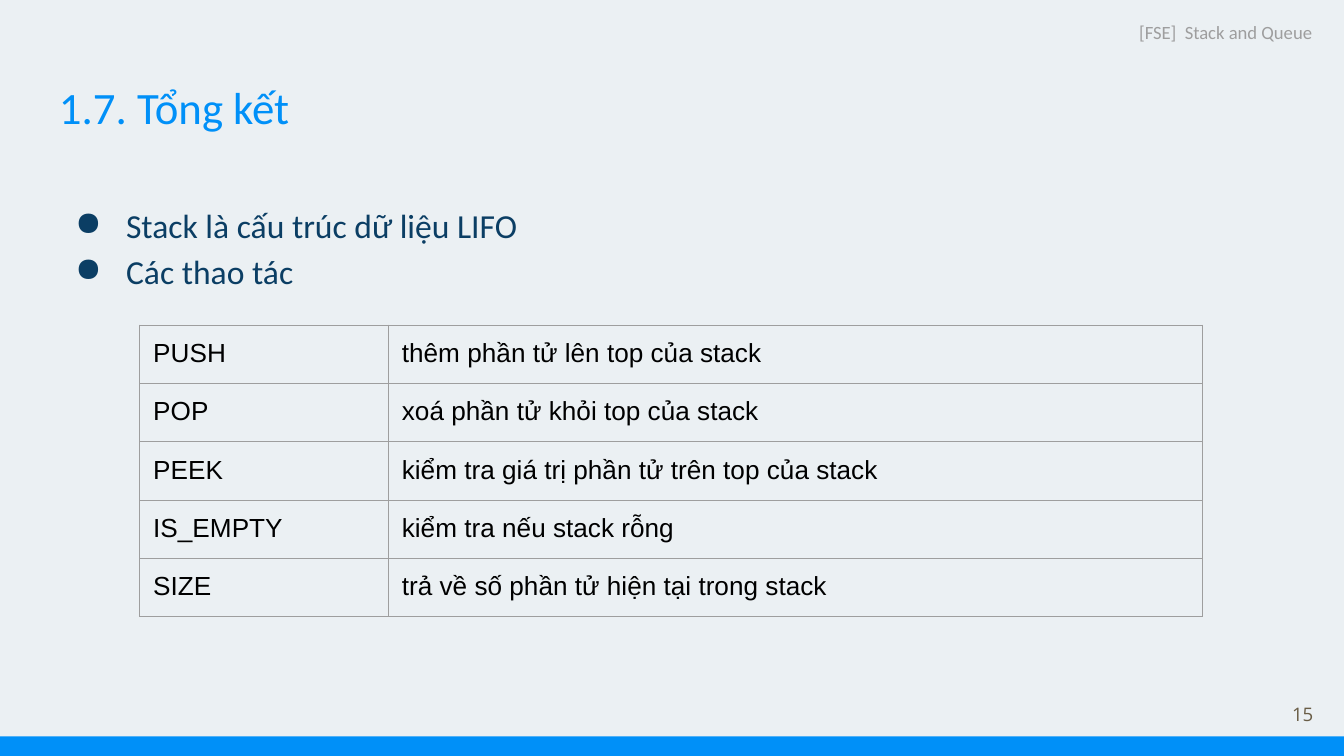
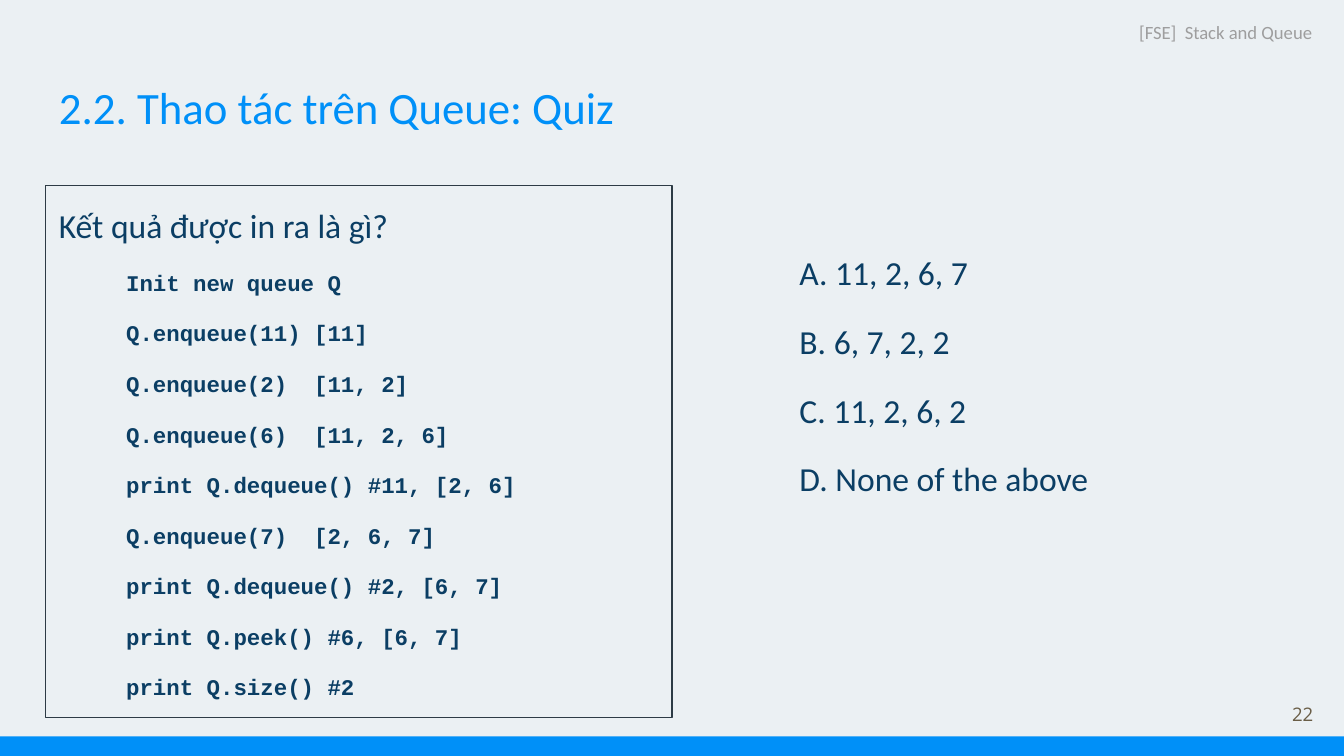
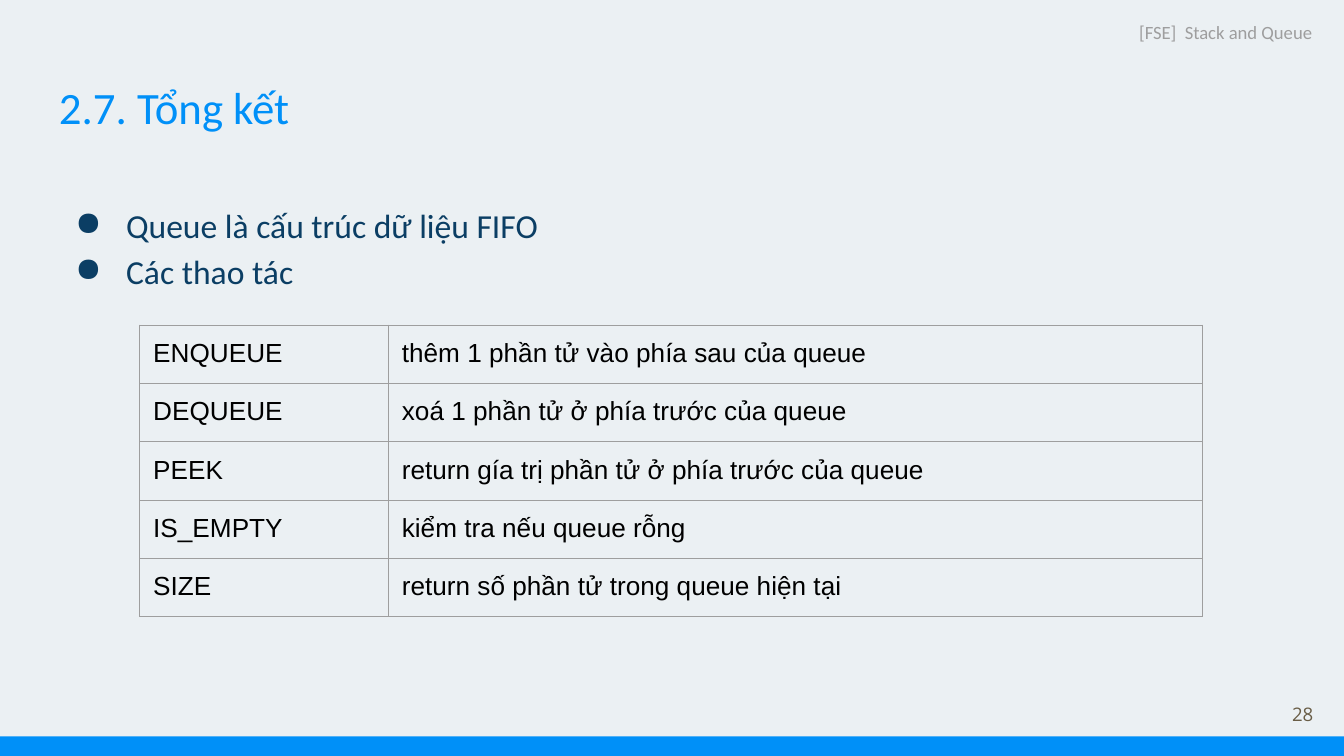
from dataclasses import dataclass

from lxml.etree import SubElement
from pptx import Presentation
from pptx.dml.color import RGBColor
from pptx.enum.shapes import MSO_SHAPE
from pptx.enum.text import MSO_ANCHOR, PP_ALIGN
from pptx.oxml import parse_xml
from pptx.oxml.ns import nsdecls, qn
from pptx.util import Inches, Pt


@dataclass(frozen=True)
class Theme:
    back: str = "EBF0F3"
    blue: str = "0090F8"
    navy: str = "0B3E64"
    frame: str = "2D3B45"
    grey: str = "9E9E9E"
    brown: str = "695D46"
    black: str = "000000"
    sans: str = "Calibri"
    mono: str = "Courier New"
    grid: str = "Arial"
    page: str = "Open Sans"
    title: int = 24
    body: int = 18
    cell: int = 14
    code: int = 12
    note: int = 10
    lead: float = 1.15
    rule: float = 0.75


THEME = Theme()
COLS, ROWS = 100, 56.25
UNIT = Inches(0.1)
LEFT, TOP = 3.4, 13.8
BAND = 54.8
PAD = Inches(0.1)

STACK = [
    ("PUSH", "thêm phần tử lên top của stack"),
    ("POP", "xoá phần tử khỏi top của stack"),
    ("PEEK", "kiểm tra giá trị phần tử trên top của stack"),
    ("IS_EMPTY", "kiểm tra nếu stack rỗng"),
    ("SIZE", "trả về số phần tử hiện tại trong stack"),
]
QUEUE = [
    ("ENQUEUE", "thêm 1 phần tử vào phía sau của queue"),
    ("DEQUEUE", "xoá 1 phần tử ở phía trước của queue"),
    ("PEEK", "return gía trị phần tử ở phía trước của queue"),
    ("IS_EMPTY", "kiểm tra nếu queue rỗng"),
    ("SIZE", "return số phần tử trong queue hiện tại"),
]
CODE = [
    "Init new queue Q",
    "Q.enqueue(11) [11]",
    "Q.enqueue(2)  [11, 2]",
    "Q.enqueue(6)  [11, 2, 6]",
    "print Q.dequeue() #11, [2, 6]",
    "Q.enqueue(7)  [2, 6, 7]",
    "print Q.dequeue() #2, [6, 7]",
    "print Q.peek() #6, [6, 7]",
    "print Q.size() #2",
]
CHOICES = ["A. 11, 2, 6, 7", "B. 6, 7, 2, 2", "C. 11, 2, 6, 2", "D. None of the above"]


def rgb(code):
    return RGBColor.from_string(code)


def place(*cells):
    """Turn grid columns and rows into lengths."""
    return [round(cell * UNIT) for cell in cells]


def indent(para, left, first=0):
    props = para._p.get_or_add_pPr()
    props.set("marL", str(Inches(left)))
    props.set("indent", str(Inches(first)))
    return props


def bullet(para, color):
    props = indent(para, 0.5, -0.38)
    tint = SubElement(props, qn("a:buClr"))
    SubElement(tint, qn("a:srgbClr"), val=color)
    SubElement(props, qn("a:buChar"), char="●")


def write(frame, lines, size=THEME.body, color=THEME.navy, face=THEME.sans,
          bold=False, align=None, lead=None, gap=0, left=0, dots=False):
    """Add one paragraph per line; gap goes above all but the frame's first."""
    for line in lines:
        fresh = not frame.text
        para = frame.paragraphs[0] if fresh else frame.add_paragraph()
        if dots:
            bullet(para, color)
        elif left:
            indent(para, left)
        para.text = line
        para.alignment = align
        para.line_spacing = lead
        para.space_before = Pt(0 if fresh else gap)
        font = para.runs[0].font
        font.size, font.name, font.bold = Pt(size), face, bold
        font.color.rgb = rgb(color)


def pad(item):
    item.margin_left = item.margin_right = PAD
    item.margin_top = item.margin_bottom = PAD


def box(slide, *cells, line=None, anchor=MSO_ANCHOR.TOP):
    """Add an empty text box and return its frame."""
    shape = slide.shapes.add_textbox(*place(*cells))
    if line:
        shape.line.color.rgb = rgb(line)
        shape.line.width = Pt(THEME.rule)
    frame = shape.text_frame
    frame.word_wrap = True
    frame.vertical_anchor = anchor
    pad(frame)
    return frame


def band(slide):
    shape = slide.shapes.add_shape(
        MSO_SHAPE.RECTANGLE, *place(0, BAND, COLS, ROWS - BAND))
    shape.shadow.inherit = False
    shape.fill.solid()
    shape.fill.fore_color.rgb = rgb(THEME.blue)
    shape.line.fill.background()


def border(cell):
    props = cell._tc.get_or_add_tcPr()
    for spot, side in enumerate("LRTB"):
        props.insert(spot, parse_xml(
            f'<a:ln{side} {nsdecls("a")} w="{Pt(THEME.rule)}"><a:solidFill>'
            f'<a:srgbClr val="{THEME.grey}"/></a:solidFill></a:ln{side}>'))


def chart_ops(slide, pairs):
    """Lay out operations and their meanings as a ruled table."""
    widths, high = (18.5, 60.6), 4.18
    table = slide.shapes.add_table(
        len(pairs), len(widths),
        *place(10.4, 24.2, sum(widths), high * len(pairs))).table
    table.first_row = table.horz_banding = False
    for col, width in zip(table.columns, widths):
        col.width = round(width * UNIT)
    for row, pair in zip(table.rows, pairs):
        row.height = round(high * UNIT)
        for cell, text in zip(row.cells, pair):
            pad(cell)
            cell.fill.background()
            border(cell)
            write(cell.text_frame, [text], size=THEME.cell,
                  color=THEME.black, face=THEME.grid)


def start(deck, title, page):
    """Add a slide with the shared title, band, header and page number."""
    slide = deck.slides.add_slide(deck.slide_layouts[6])
    slide.background.fill.solid()
    slide.background.fill.fore_color.rgb = rgb(THEME.back)
    write(box(slide, LEFT, 4.9, 93.2, 7.7), [title],
          size=THEME.title, color=THEME.blue)
    band(slide)
    write(box(slide, 92.7, 51, 6, 4.3, anchor=MSO_ANCHOR.MIDDLE), [str(page)],
          size=THEME.note, color=THEME.brown, face=THEME.page,
          align=PP_ALIGN.RIGHT)
    write(box(slide, 78.8, 0.7, 19.8, 3.7), ["[FSE]  Stack and Queue"],
          size=THEME.note, color=THEME.grey, align=PP_ALIGN.RIGHT)
    return slide


def recap(deck, title, page, fact, pairs):
    slide = start(deck, title, page)
    write(box(slide, LEFT, TOP, 94, 36.1), [fact, "Các thao tác"],
          lead=THEME.lead, dots=True)
    chart_ops(slide, pairs)


def quiz(deck, title, page):
    slide = start(deck, title, page)
    panel = box(slide, LEFT, TOP, 46.6, 39.6, line=THEME.frame)
    write(panel, ["Kết quả được in ra là gì?"], lead=THEME.lead)
    write(panel, CODE, size=THEME.code, face=THEME.mono, bold=True,
          lead=1.05, gap=12, left=0.5)
    write(box(slide, 58.5, 17.3, 33.5, 36.1), CHOICES, lead=THEME.lead, gap=12)


def main():
    deck = Presentation()
    deck.slide_width, deck.slide_height = place(COLS, ROWS)
    recap(deck, "1.7. Tổng kết", 15, "Stack là cấu trúc dữ liệu LIFO", STACK)
    quiz(deck, "2.2. Thao tác trên Queue: Quiz", 22)
    recap(deck, "2.7. Tổng kết", 28, "Queue là cấu trúc dữ liệu FIFO", QUEUE)
    deck.save("out.pptx")


if __name__ == "__main__":
    main()
